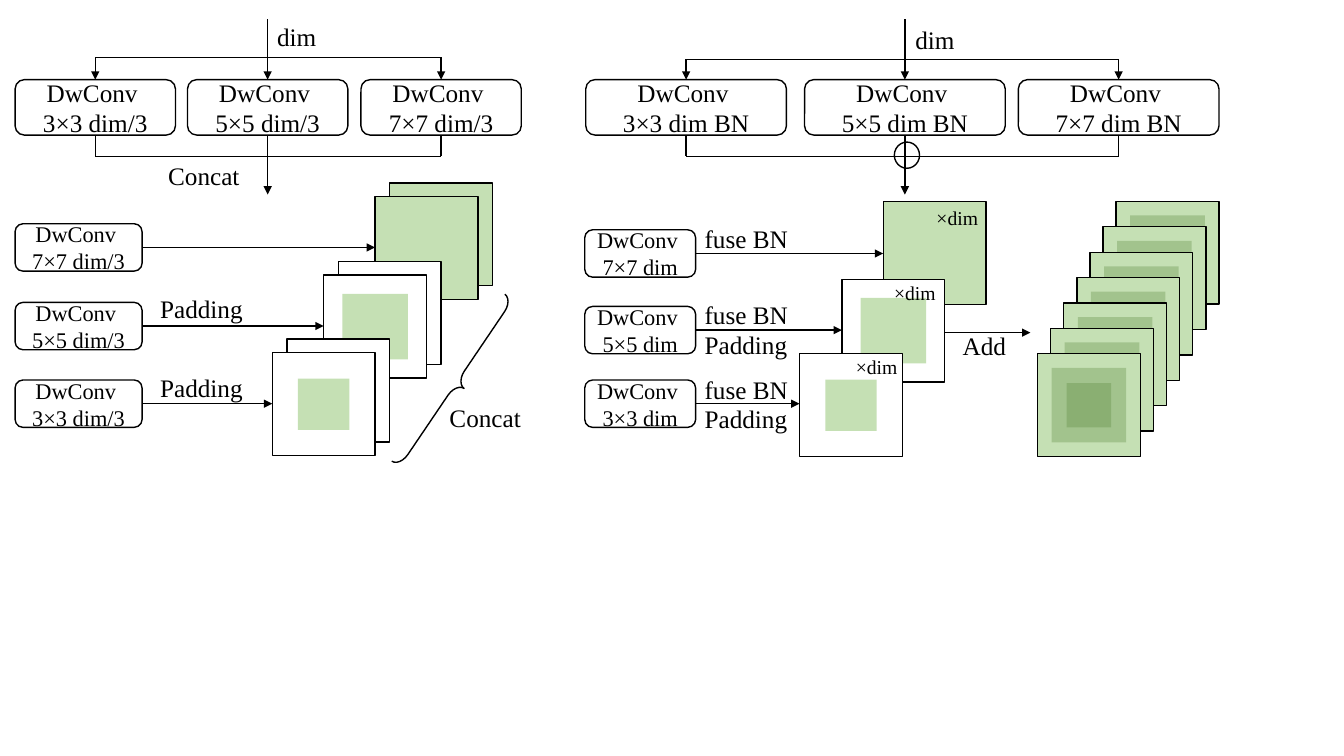
from lxml import etree
from pptx import Presentation
from pptx import util as u
from pptx.dml.color import RGBColor
from pptx.enum import shapes, text
from pptx.oxml import ns

BLACK = RGBColor(0, 0, 0)
WHITE = RGBColor(255, 255, 255)
LIGHT_GREEN = RGBColor(0xC5, 0xE0, 0xB4)
DARK_GREEN = RGBColor(0x54, 0x82, 0x35)
FONT = "Times New Roman"
SLIDE = 13.33, 7.5
MAP = 1.02
BRANCH_TOP, BRANCH_HEIGHT, SIDE_HEIGHT = 0.79, 0.55, 0.47
KERNELS = ["3×3", "5×5", "7×7"]

BRANCHES = [
    {"lefts": [0.15, 1.86, 3.58], "width": 1.59, "suffix": "dim/3", "bus": 0.57},
    {"lefts": [5.81, 7.98, 10.1], "width": 1.99, "suffix": "dim BN", "bus": 0.59},
]
BRANCH_START, BRANCH_END, JOIN = 0.19, 1.93, 1.55

SIDES = [
    {"left": 0.15, "width": 1.26, "suffix": "dim/3", "tops": [3.77, 3.0, 2.22],
     "targets": [2.7, 3.21, 3.72]},
    {"left": 5.8, "width": 1.1, "suffix": "dim", "tops": [3.77, 3.04, 2.28],
     "targets": [7.93, 8.35, 8.76]},
]
MAPS = [
    (3.72, 1.95, 0, True), (3.21, 2.73, 0.65, True), (2.7, 3.5, 0.51, True),
    (8.76, 2.0, 0, False), (8.35, 2.77, 0.65, False), (7.93, 3.51, 0.51, False),
]
BACK_SHIFT = 0.145
SUM_FRONT, SUM_STEP, SUM_LAYERS = (10.29, 3.51), (0.13, 0.252), 7
SUM_INNER, SUM_CORE = 0.74, 0.44
ADDER = 8.87, 1.41, 0.25, 0.26
ADD_ARROW = 9.37, 3.3, 10.22, 3.3
BRACE = 4.43, 2.8, 0.19, 2

LABELS = [
    ("dim", 2.65, 0.16, 18), ("Concat", 1.57, 1.54, 18), ("Concat", 4.36, 3.94, 18),
    ("Padding", 1.49, 2.86, 18), ("Padding", 1.49, 3.64, 18),
    ("dim", 8.98, 0.19, 18), ("Add", 9.45, 3.23, 18),
    ("fuse BN", 6.89, 2.17, 18), ("fuse BN", 6.89, 2.92, 18), ("fuse BN", 6.89, 3.66, 18),
    ("Padding", 6.89, 3.22, 18), ("Padding", 6.89, 3.95, 18),
    ("×dim", 8.39, 3.47, 14), ("×dim", 8.77, 2.74, 14), ("×dim", 9.19, 1.99, 14),
]

deck = Presentation()
deck.slide_width, deck.slide_height = map(u.Inches, SLIDE)
slide = deck.slides.add_slide(deck.slide_layouts[6])


def write(shape, words, size, align):
    frame = shape.text_frame
    frame.word_wrap = True
    frame.text = words
    for paragraph in frame.paragraphs:
        paragraph.alignment = align
        for run in paragraph.runs:
            run.font.size, run.font.name = u.Pt(size), FONT
            run.font.color.rgb = BLACK


def draw(kind, left, top, width, height, fill=None, outlined=True, alpha=None):
    shape = slide.shapes.add_shape(kind, *map(u.Inches, (left, top, width, height)))
    shape.shadow.inherit = False
    if fill is None:
        shape.fill.background()
    else:
        shape.fill.solid()
        shape.fill.fore_color.rgb = fill
    if alpha:
        color = shape.fill._xPr.find(".//" + ns.qn("a:srgbClr"))
        etree.SubElement(color, ns.qn("a:alpha"), val=str(alpha * 1000))
    if outlined:
        shape.line.color.rgb, shape.line.width = BLACK, u.Pt(1)
    else:
        shape.line.fill.background()
    return shape


def square(left, top, size, fill, outlined=True, alpha=None):
    inset = (MAP - size) / 2
    draw(shapes.MSO_SHAPE.RECTANGLE, left + inset, top + inset, size, size,
         fill, outlined, alpha)


def convolution(left, top, width, height, kernel, suffix, size):
    box = draw(shapes.MSO_SHAPE.ROUNDED_RECTANGLE, left, top, width, height)
    box.text_frame.vertical_anchor = text.MSO_ANCHOR.MIDDLE
    write(box, f"DwConv \n{kernel} {suffix}", size, text.PP_ALIGN.CENTER)


def connect(x1, y1, x2, y2, arrow=True):
    line = slide.shapes.add_connector(
        shapes.MSO_CONNECTOR.STRAIGHT, *map(u.Inches, (x1, y1, x2, y2)))
    line.line.color.rgb, line.line.width = BLACK, u.Pt(1)
    if arrow:
        etree.SubElement(line.line._get_or_add_ln(), ns.qn("a:tailEnd"), type="triangle")
    etree.SubElement(line._element.spPr, ns.qn("a:effectLst"))


for branch in BRANCHES:
    bottom = BRANCH_TOP + BRANCH_HEIGHT
    centers = [left + branch["width"] / 2 for left in branch["lefts"]]
    for left, kernel in zip(branch["lefts"], KERNELS):
        convolution(left, BRANCH_TOP, branch["width"], BRANCH_HEIGHT,
                    kernel, branch["suffix"], 18)
    first, middle, last = centers
    connect(middle, BRANCH_START, middle, BRANCH_TOP)
    connect(middle, bottom, middle, BRANCH_END)
    for y in (branch["bus"], JOIN):
        connect(first, y, last, y, arrow=False)
    for x in (first, last):
        connect(x, branch["bus"], x, BRANCH_TOP)
        connect(x, bottom, x, JOIN, arrow=False)

for left, top, core, doubled in MAPS:
    fill = WHITE if core else LIGHT_GREEN
    if doubled:
        square(left + BACK_SHIFT, top - BACK_SHIFT + 0.01, MAP, fill)
    square(left, top, MAP, fill)
    if core:
        square(left, top, core, LIGHT_GREEN, outlined=False)

for side in SIDES:
    right = side["left"] + side["width"]
    for kernel, top, target in zip(KERNELS, side["tops"], side["targets"]):
        convolution(side["left"], top, side["width"], SIDE_HEIGHT, kernel, side["suffix"], 16)
        connect(right, top + SIDE_HEIGHT / 2, target, top + SIDE_HEIGHT / 2)

for layer in reversed(range(SUM_LAYERS)):
    left = SUM_FRONT[0] + layer * SUM_STEP[0]
    top = SUM_FRONT[1] - layer * SUM_STEP[1]
    square(left, top, MAP, LIGHT_GREEN)
    square(left, top, SUM_INNER, DARK_GREEN, outlined=False, alpha=30)
square(*SUM_FRONT, SUM_CORE, DARK_GREEN, outlined=False, alpha=30)

draw(shapes.MSO_SHAPE.OVAL, *ADDER)
connect(*ADD_ARROW)
brace = draw(shapes.MSO_SHAPE.LEFT_BRACE, *BRACE)
brace.rotation = 214.1
brace.adjustments[0] = 0.76

for words, left, top, size in LABELS:
    label = slide.shapes.add_textbox(*map(u.Inches, (left, top, 1.1, 0.4)))
    write(label, words, size, text.PP_ALIGN.LEFT)

deck.save("out.pptx")
